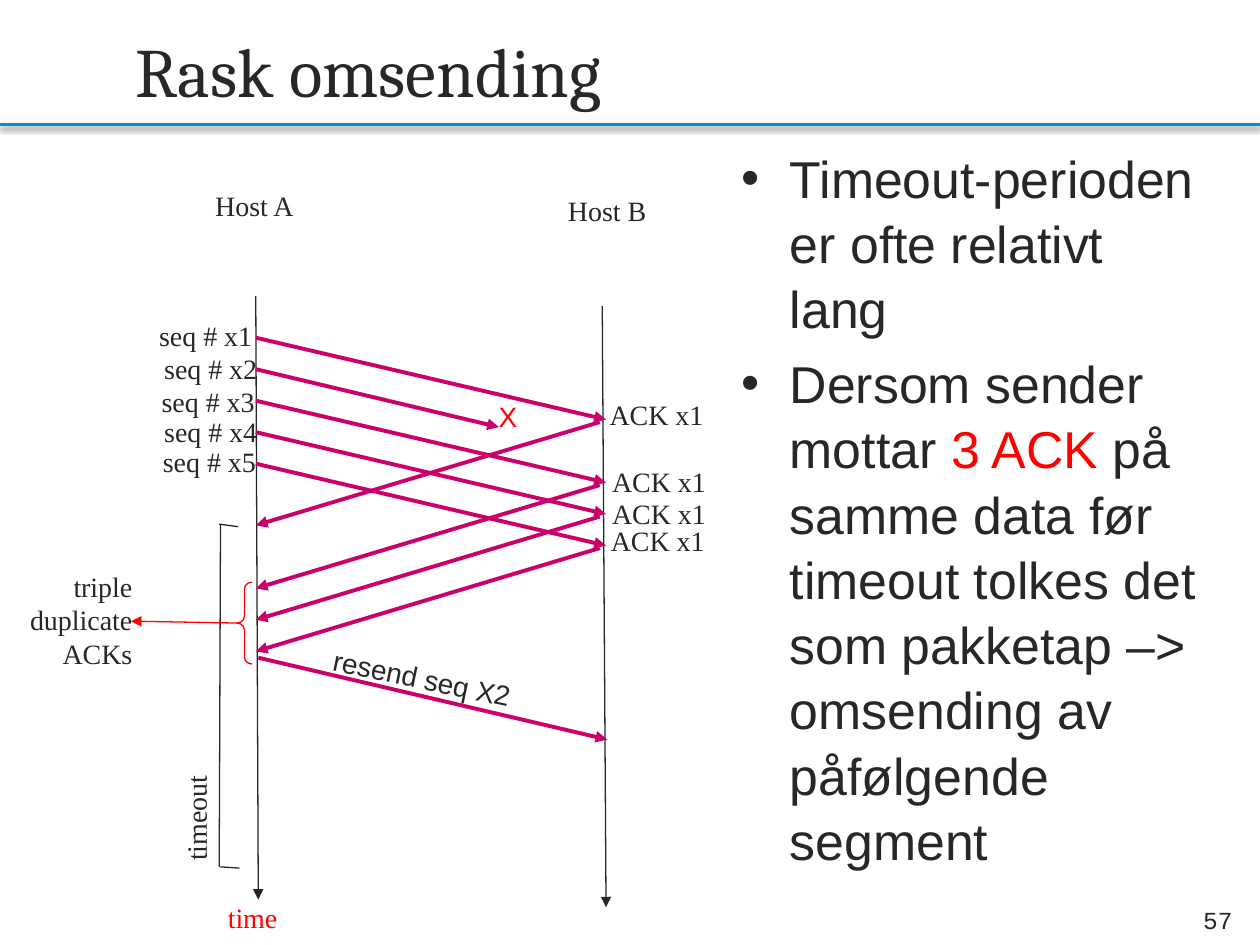
from lxml.etree import SubElement
from pptx import Presentation
from pptx.dml.color import RGBColor
from pptx.enum.shapes import MSO_CONNECTOR, MSO_SHAPE
from pptx.enum.text import MSO_ANCHOR, MSO_AUTO_SIZE, PP_ALIGN
from pptx.oxml.ns import qn
from pptx.util import Inches, Pt

COLS, ROWS = 100, 75
HUES = {"ink": "262827", "red": "FF0000", "pink": "CC006B", "blue": "0092D1"}
SERIF, SANS = "Times New Roman", "Arial"


class Board:
    def __init__(self, deck):
        self.wide, self.high = deck.slide_width, deck.slide_height
        self.slide = deck.slides.add_slide(deck.slide_layouts[6])

    def col(self, num):
        return round(self.wide * num / COLS)

    def row(self, num):
        return round(self.high * num / ROWS)

    def area(self, box):
        x, y, w, h = box
        return self.col(x), self.row(y), self.col(w), self.row(h)

    def hue(self, name):
        return RGBColor.from_string(HUES[name])

    def text(self, box, paras, size=16, face=SERIF, turn=0, bullet=False,
             frame=None, para=None):
        """Each paragraph is a list of (words, hue) runs."""
        shape = self.slide.shapes.add_textbox(*self.area(box))
        shape.rotation = turn
        body = shape.text_frame
        for key, val in {"word_wrap": True, **(frame or {})}.items():
            setattr(body, key, val)
        for num, runs in enumerate(paras):
            item = body.paragraphs[0] if num == 0 else body.add_paragraph()
            if bullet:
                self.bullet(item)
            for key, val in (para or {}).items():
                if num or key != "space_before":
                    setattr(item, key, val)
            for words, hue in runs:
                run = item.add_run()
                run.text = words
                for key, val in {"name": face, "size": Pt(size)}.items():
                    setattr(run.font, key, val)
                run.font.color.rgb = self.hue(hue)

    def bullet(self, item):
        props = item._p.get_or_add_pPr()
        indent = Inches(0.38)
        props.set("marL", str(indent))
        props.set("indent", str(-indent))
        SubElement(props, qn("a:buFont"), typeface=SANS)
        SubElement(props, qn("a:buChar"), char="•")

    def label(self, box, words, hue="ink", right=False, wrap=True, **look):
        frame = {"word_wrap": wrap, "auto_size": MSO_AUTO_SIZE.SHAPE_TO_FIT_TEXT}
        para = {"alignment": PP_ALIGN.RIGHT if right else PP_ALIGN.LEFT}
        paras = [[(line, hue)] for line in words.split("\n")]
        self.text(box, paras, frame=frame, para=para, **look)

    def line(self, x1, y1, x2, y2, hue="ink", width=0.75, arrow=True, shade=False):
        link = self.slide.shapes.add_connector(
            MSO_CONNECTOR.STRAIGHT,
            self.col(x1), self.row(y1), self.col(x2), self.row(y2))
        link.line.color.rgb = self.hue(hue)
        link.line.width = Pt(width)
        if arrow:
            SubElement(link.line._get_or_add_ln(), qn("a:tailEnd"), type="triangle")
        effects = SubElement(link._element.spPr, qn("a:effectLst"))
        if shade:
            cast = SubElement(effects, qn("a:outerShdw"), blurRad=str(Pt(3.1)),
                              dist=str(Pt(1.6)), dir="5400000", rotWithShape="0")
            black = SubElement(cast, qn("a:srgbClr"), val="000000")
            SubElement(black, qn("a:alpha"), val="38000")
        return link

    def send(self, *ends):
        self.line(*ends, hue="pink", width=2.25)

    def brace(self, box, hue):
        shape = self.slide.shapes.add_shape(MSO_SHAPE.LEFT_BRACE, *self.area(box))
        shape.shadow.inherit = False
        shape.adjustments[0] = 0.453
        shape.fill.background()
        shape.line.color.rgb = self.hue(hue)
        shape.line.width = Pt(0.75)
        return shape


def frame(board):
    """Title, rule, bullets and page number."""
    board.line(0, 9.9, COLS, 9.9, hue="blue", width=2, arrow=False, shade=True)
    middle = {"vertical_anchor": MSO_ANCHOR.MIDDLE}
    board.text((9.8, 2.1, 88.2, 6.9), [[("Rask omsending", "ink")]],
               size=39.6, face="Cambria", frame=middle)
    points = [
        [("Timeout-perioden er ofte relativt lang", "ink")],
        [("Dersom sender mottar ", "ink"), ("3 ACK ", "red"),
         ("på samme data før timeout tolkes det som pakketap –> "
          "omsending av påfølgende segment", "ink")],
    ]
    board.text((57.9, 10.9, 39.3, 59.2), points, size=29.6, face=SANS, bullet=True,
               para={"line_spacing": 1.05, "space_before": Pt(5.5)})
    board.text((89.4, 71, 9.4, 4), [[("57", "ink")]], size=14, face="Courier New",
               frame=middle, para={"alignment": PP_ALIGN.RIGHT})


def hosts(board):
    board.label((16.1, 14.5, 8.3, 3.7), "Host A", wrap=False)
    board.label((44.1, 14.9, 8.3, 3.7), "Host B", wrap=False)
    board.line(20.3, 23.5, 20.5, 71.4)
    board.line(47.8, 24.3, 48.1, 72)
    board.label((17.1, 71, 6, 3.7), "time", hue="red", wrap=False)


def traffic(board):
    step, drop, lost = 2.5, 6.5, 1
    seqs = [(8, 24.8), (8.4, 27.4), (8.2, 30), (8.4, 32.4), (8.3, 34.8)]
    acks = {0: (47.4, 31.1), 2: (47.6, 36.4), 3: (47.6, 38.9), 4: (47.5, 41.1)}
    for num, (x, y) in enumerate(seqs):
        start = 26.8 + num * step
        board.label((x, y, 13, 3.7), f"seq # x{num + 1}", right=True)
        if num == lost:
            board.send(20.3, start, 39.6, 33.9)
            continue
        board.send(20.3, start, 48.1, start + drop)
        reply = start + drop + 0.2
        board.send(47.6, reply, 20.3, reply + 8.2)
        board.label((*acks[num], 13, 3.7), "ACK x1")
    board.label((38.6, 31.2, 3.1, 3.7), "X", hue="red", face=SANS)
    board.send(20.5, 52.2, 48.2, 52.2 + drop)
    board.label((25.3, 52.6, 22.2, 3.7), "resend seq X2", face=SANS, turn=11.9)


def waiting(board):
    """Timeout bracket and the brace around the duplicate replies."""
    for ends in [(17.5, 41.6, 17.4, 68.8), (17.4, 41.6, 18.9, 41.8),
                 (17.5, 68.8, 19, 68.9)]:
        board.line(*ends, arrow=False)
    board.label((11.1, 63, 8.9, 3.7), "timeout", wrap=False, turn=270)
    brace = board.brace((18.8, 46.2, 1.2, 6.5), "red")
    board.label((1.2, 44.7, 10.3, 9.1), "triple\nduplicate\nACKs",
                right=True, wrap=False)
    link = board.line(18.8, 49.4, 10.4, 49.3, hue="red")
    link.begin_connect(brace, 1)


def main():
    deck = Presentation()
    deck.slide_width, deck.slide_height = Inches(10), Inches(7.5)
    board = Board(deck)
    for part in (frame, hosts, traffic, waiting):
        part(board)
    deck.save("out.pptx")


if __name__ == "__main__":
    main()
